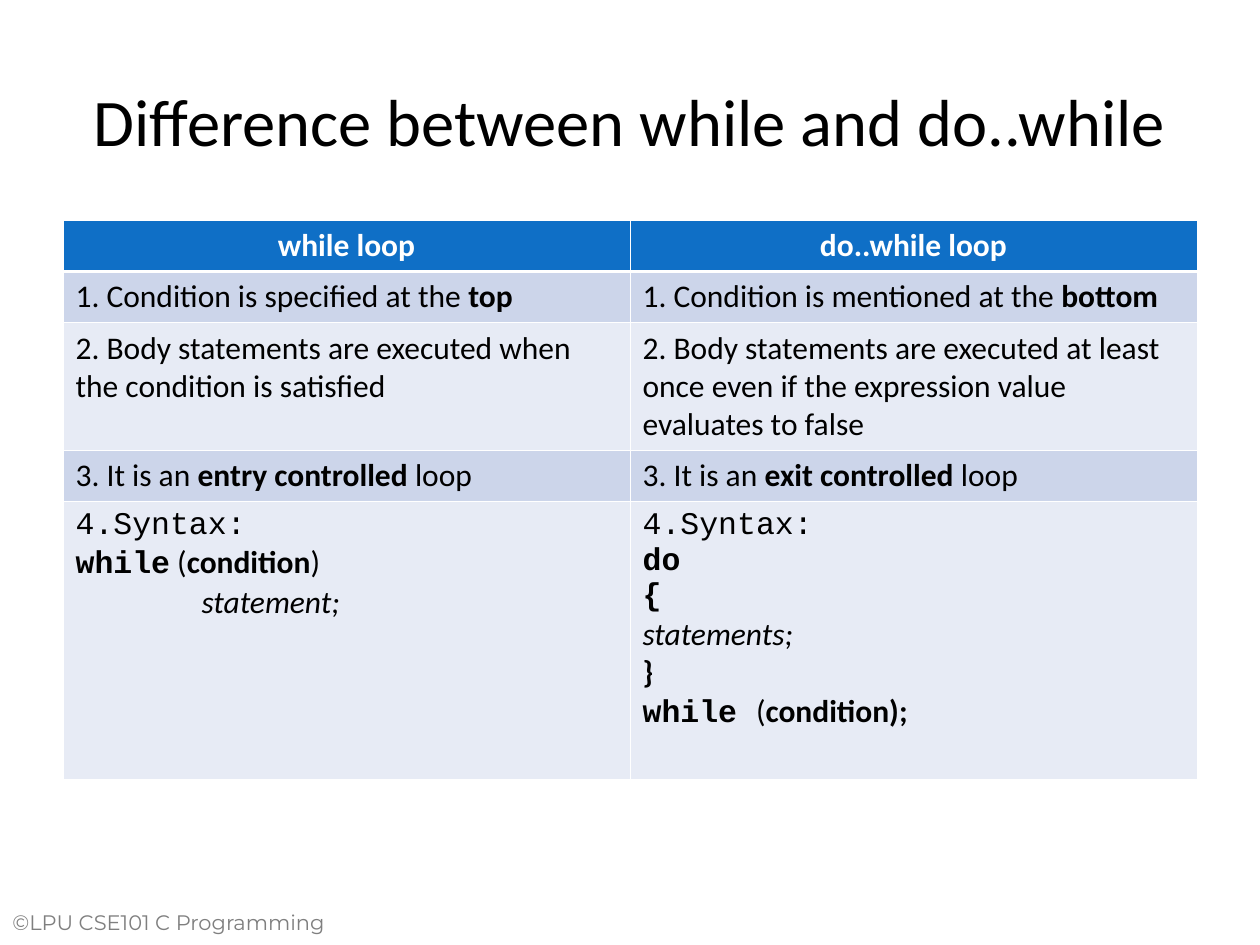
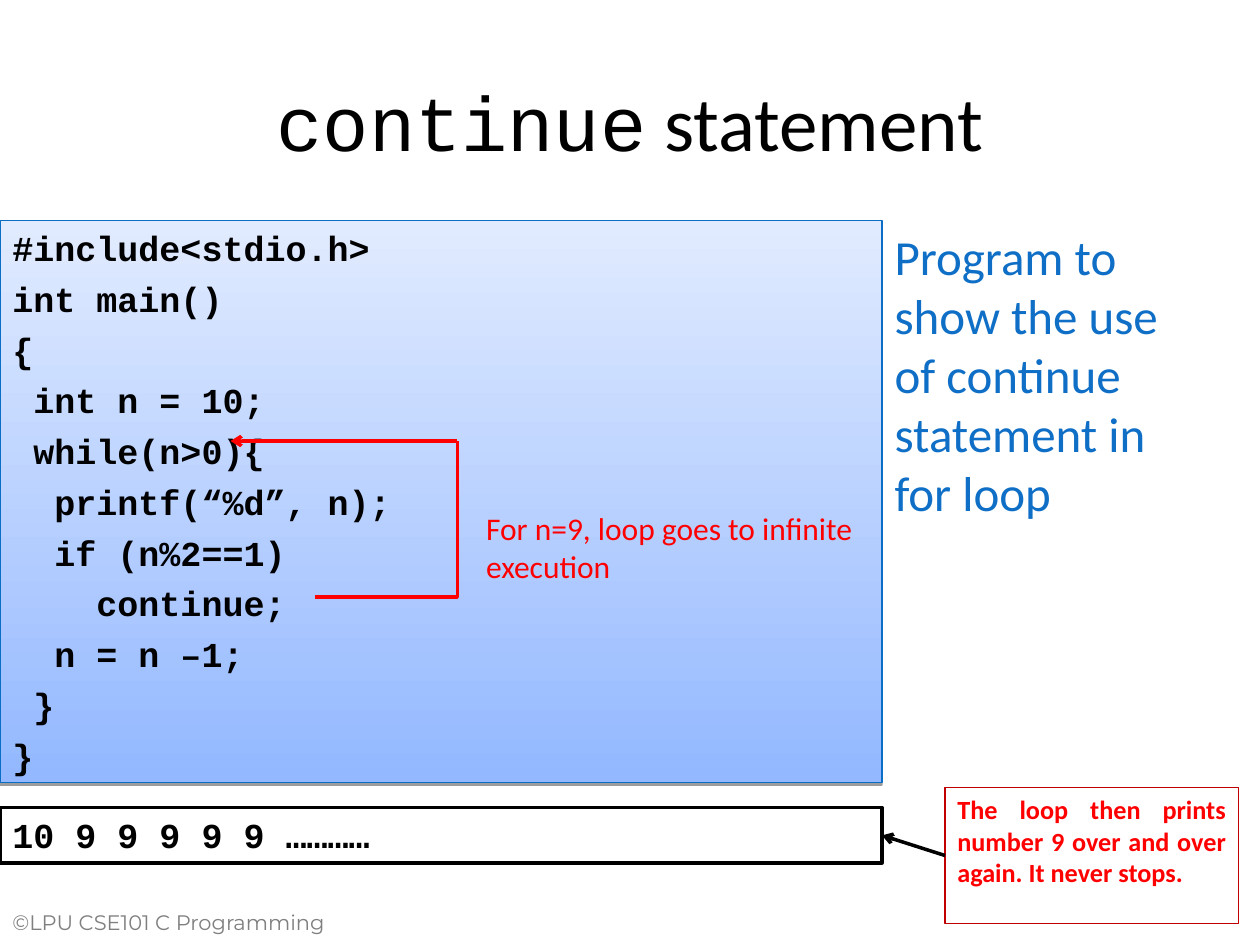
from lxml.etree import SubElement
from pptx import Presentation
from pptx.dml.color import RGBColor
from pptx.enum.shapes import MSO_CONNECTOR, MSO_SHAPE
from pptx.enum.text import MSO_ANCHOR, MSO_AUTO_SIZE, PP_ALIGN
from pptx.oxml.ns import qn
from pptx.util import Inches, Pt

BLUE, RED, BLACK, WHITE = "0F6FC6", "FF0000", "000000", "FFFFFF"
BANDS = ["CCD5EA", "E7EBF5"]
THIN, THICK = 0.45, 1.47
BOLD, SLANT = {"bold": True}, {"italic": True}
MONO = {"name": "Courier New"}
KEY = {**MONO, **BOLD}


def hue(code):
    return RGBColor.from_string(code)


def style(size, color=BLACK, name="Calibri", **more):
    return {"size": Pt(size), "color": color, "name": name, **more}


TITLE = style(44)
CELL = style(18)
HEAD = style(18, WHITE, bold=True)
CODE = style(20, **KEY)
FOOTER = style(12, "7F7F7F", "Montserrat")

ROWS = [
    (["1. Condition is specified at the ", ("top", BOLD)],
     ["1. Condition is mentioned at the ", ("bottom", BOLD)]),
    (["2. Body statements are executed when the condition is satisfied"],
     ["2. Body statements are executed at least once even if the "
      "expression value evaluates to false"]),
    (["3. It is an ", ("entry controlled ", BOLD), "loop"],
     ["3. It is an ", ("exit controlled", BOLD), " loop"]),
]
SYNTAX = (
    [[("4.Syntax:", MONO)],
     [("while", KEY), " (", ("condition", BOLD), ")"],
     ["\t", ("statement;", SLANT)]],
    [[("4.Syntax:", MONO)],
     [("do", KEY)],
     [("{", KEY)],
     [("statements;", SLANT)],
     [("}", BOLD)],
     [("while ", KEY), "(", ("condition);", BOLD)]],
)
LINES = """#include<stdio.h>
int main()
{
 int n = 10;
 while(n>0){
  printf(“%d”, n);
  if (n%2==1)
    continue;
  n = n –1;
 }
}""".split("\n")


def add_run(para, text, look):
    run = para.add_run()
    run.text = text
    for key, value in look.items():
        if key == "color":
            run.font.color.rgb = hue(value)
        else:
            setattr(run.font, key, value)


def add_tab(para):
    stops = SubElement(para._p.get_or_add_pPr(), qn("a:tabLst"))
    SubElement(stops, qn("a:tab"), pos=str(Inches(1)), algn="l")


def write(frame, lines, base, align=PP_ALIGN.LEFT, gap=0):
    for num, line in enumerate(lines):
        para = frame.add_paragraph() if num else frame.paragraphs[0]
        para.alignment = align
        para.space_before = Pt(gap if num else 0)
        if line[0] == "\t":
            add_tab(para)
        for part in [line] if isinstance(line, str) else line:
            text, extra = (part, {}) if isinstance(part, str) else part
            add_run(para, text, {**base, **extra})


def set_frame(frame, anchor=MSO_ANCHOR.TOP):
    traits = {"word_wrap": True, "auto_size": MSO_AUTO_SIZE.NONE,
              "vertical_anchor": anchor}
    for key, value in traits.items():
        setattr(frame, key, value)
    return frame


def place(shape, left, top, width, height):
    spots = {"left": left, "top": top, "width": width, "height": height}
    for key, value in spots.items():
        setattr(shape, key, Inches(value))


def add_text(slide, spot, lines, base):
    box = slide.shapes.add_textbox(*map(Inches, spot))
    write(set_frame(box.text_frame), lines, base)


def add_box(slide, spot, lines, base, edge, weight, **layout):
    box = slide.shapes.add_shape(MSO_SHAPE.RECTANGLE, *map(Inches, spot))
    box.shadow.inherit = False
    box.fill.background()
    box.line.color.rgb = hue(edge)
    box.line.width = Pt(weight)
    write(set_frame(box.text_frame), lines, base, **layout)
    return box


def shade(box, low, high):
    box.fill.gradient()
    box.fill.gradient_angle = 90
    for stop, code in zip(box.fill.gradient_stops, (low, high)):
        stop.color.rgb = hue(code)
    glow = box.element.spPr.find(qn("a:effectLst"))
    cast = SubElement(glow, qn("a:outerShdw"), blurRad="0",
                      dist=str(Pt(1.6)), dir="5400000", rotWithShape="0")
    tint = SubElement(cast, qn("a:srgbClr"), val=BLACK)
    SubElement(tint, qn("a:alpha"), val="38000")


def add_line(slide, start, end, color, arrow=True, bend=False):
    kind = MSO_CONNECTOR.ELBOW if bend else MSO_CONNECTOR.STRAIGHT
    line = slide.shapes.add_connector(kind, *map(Inches, start + end))
    line.line.color.rgb = hue(color)
    line.line.width = Pt(2)
    props = line.element.spPr
    if arrow:
        SubElement(props.find(qn("a:ln")), qn("a:tailEnd"), type="arrow")
    if bend:
        guides = props.find(qn("a:prstGeom")).find(qn("a:avLst"))
        SubElement(guides, qn("a:gd"), name="adj1", fmla="val 100000")
    SubElement(props, qn("a:effectLst"))


def add_body(slide, spot, text, base):
    body = slide.placeholders[1]
    place(body, *spot)
    write(set_frame(body.text_frame), [text], base)
    props = body.text_frame.paragraphs[0]._p.get_or_add_pPr()
    props.set("marL", "0")
    props.set("indent", "0")
    SubElement(props, qn("a:buNone"))


def add_slide(deck, layout, title, base=TITLE):
    slide = deck.slides.add_slide(deck.slide_layouts[layout])
    place(slide.shapes.title, 0.5, 0.33, 9, 1.25)
    frame = set_frame(slide.shapes.title.text_frame, MSO_ANCHOR.MIDDLE)
    write(frame, [title], base, PP_ALIGN.CENTER)
    add_text(slide, (0, 7.17, 3, 0.42), ["©LPU CSE101 C Programming"], FOOTER)
    return slide


def add_rules(cell, top, base):
    props = cell._tc.get_or_add_tcPr()
    sides = {"lnL": THIN, "lnR": THIN, "lnT": top, "lnB": base}
    for side, weight in sides.items():
        rule = SubElement(props, qn(f"a:{side}"), w=str(Pt(weight)))
        fill = SubElement(rule, qn("a:solidFill"))
        SubElement(fill, qn("a:srgbClr"), val=WHITE)


def fill_cell(cell, lines, base, color, align=PP_ALIGN.LEFT,
              rules=(THIN, THIN)):
    add_rules(cell, *rules)
    cell.fill.solid()
    cell.fill.fore_color.rgb = hue(color)
    write(cell.text_frame, lines, base, align)


def add_grid(slide, spot, heights):
    table = slide.shapes.add_table(len(heights), 2,
                                   *map(Inches, spot)).table
    for row, height in zip(table.rows, heights):
        row.height = Inches(height)
    for col, text in enumerate(["while loop", "do..while loop"]):
        fill_cell(table.cell(0, col), [text], HEAD, BLUE, PP_ALIGN.CENTER,
                  (THIN, THICK))
    body = [[[line] for line in pair] for pair in ROWS] + [SYNTAX]
    for row, pair in enumerate(body):
        rules = (THIN if row else THICK, THIN)
        for col, lines in enumerate(pair):
            fill_cell(table.cell(row + 1, col), lines, CELL, BANDS[row % 2],
                      rules=rules)


def compare(deck):
    slide = add_slide(deck, 5, "Difference between while and do..while",
                      style(38))
    add_grid(slide, (0.5, 1.75, 9, 4.4), [0.4, 0.4, 1, 0.4, 2.2])


def skip_demo(deck):
    slide = add_slide(deck, 1, [("continue", MONO), " statement"])
    code = add_box(slide, (0, 1.75, 7, 4.46), LINES, CODE, "0A6DC6", 0.75,
                   gap=5)
    shade(code, "93B8FF", "E1EBFF")
    add_box(slide, (0, 6.41, 7, 0.44), ["10 9 9 9 9 9 …………"], CODE, BLACK, 2)
    add_box(slide, (7.5, 6.25, 2.33, 1.08),
            ["The loop then prints number 9 over and over again. "
             "It never stops."],
            style(15, RED, bold=True), "C00000", 0.75,
            align=PP_ALIGN.JUSTIFY)
    add_body(slide, (7, 1.75, 2.58, 4.95),
             "Program to show the use of continue statement in for loop",
             style(28, BLUE))
    add_line(slide, (7.5, 6.79), (7, 6.63), BLACK)
    add_line(slide, (2.5, 4.74), (3.63, 3.5), RED, arrow=False, bend=True)
    add_line(slide, (3.63, 3.5), (1.83, 3.5), RED)
    add_text(slide, (3.76, 3.99, 3.2, 0.7),
             ["For n=9, loop goes to infinite", "execution"], style(18, RED))


def main():
    deck = Presentation()
    deck.slide_width, deck.slide_height = Inches(10), Inches(7.5)
    compare(deck)
    skip_demo(deck)
    deck.save("out.pptx")


if __name__ == "__main__":
    main()
